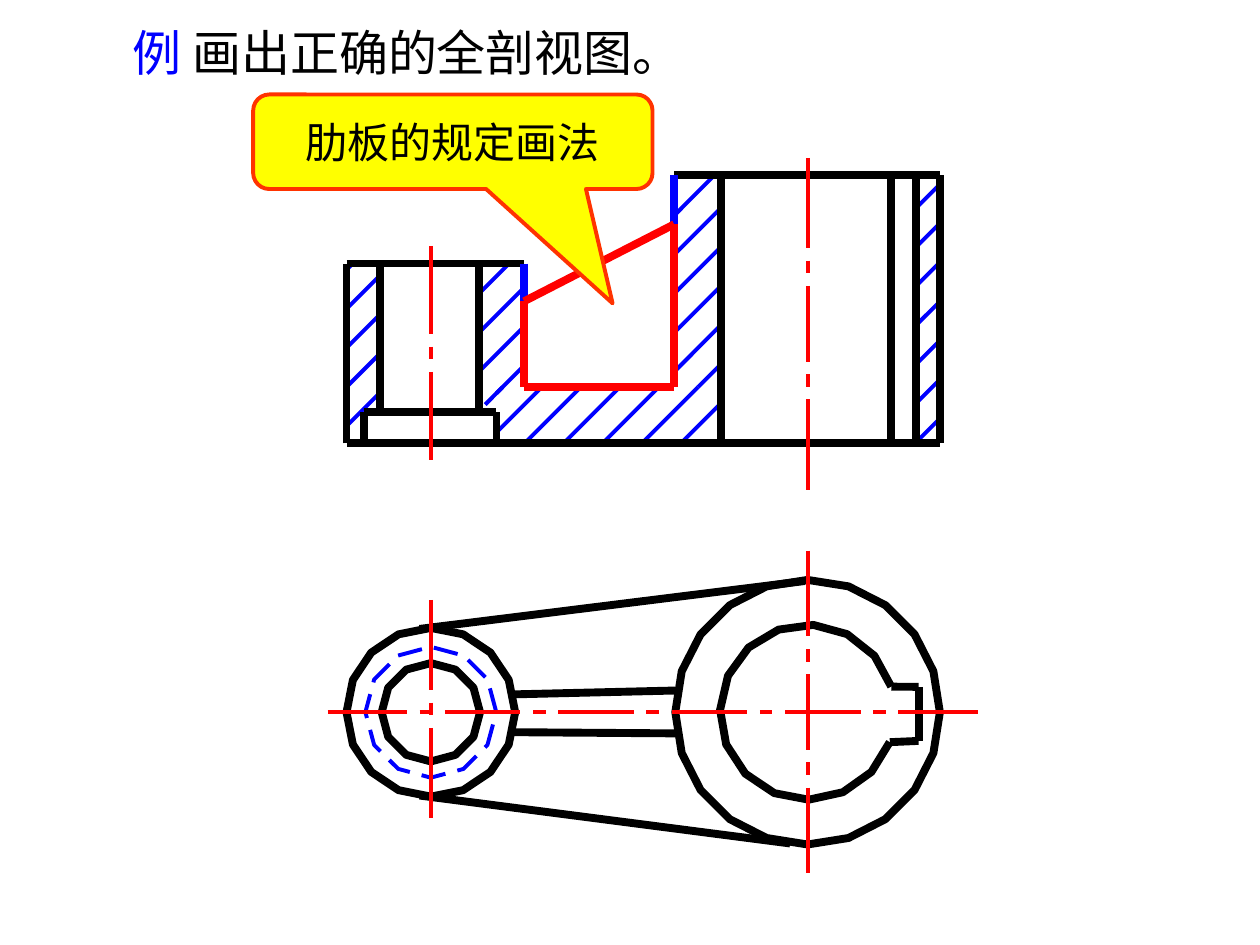
import math

import pptx
import pptx.dml.color
import pptx.enum.shapes
import pptx.enum.text
import pptx.oxml.ns
import pptx.util
from lxml import etree

Pt = pptx.util.Pt
COLORS = {"outline": "000000", "hatch": "0000FF", "rib": "FF0000", "centre": "FF0000",
          "example": "0000FF", "text": "000000",
          "callout": "FFFF00", "callout_line": "FF3300"}
THICK, THIN = 4.5, 2.25
CJK_FONT = "Noto Sans CJK SC"


def rgb(key):
    return pptx.dml.color.RGBColor.from_string(COLORS[key])


def draw_line(slide, box, start, end, color="outline", width=THICK):
    left, top = box[:2]
    edge = slide.shapes.add_connector(
        pptx.enum.shapes.MSO_CONNECTOR.STRAIGHT,
        Pt(left + start[0]), Pt(top + start[1]), Pt(left + end[0]), Pt(top + end[1]))
    edge.line.color.rgb = rgb(color)
    edge.line.width = Pt(width)
    etree.SubElement(edge._element.spPr, pptx.oxml.ns.qn("a:effectLst"))


def draw_path(slide, box, points, color="outline", width=THICK, close=False):
    left, top = box[:2]
    spots = [(Pt(left + x), Pt(top + y)) for x, y in points]
    builder = slide.shapes.build_freeform(*spots[0])
    builder.add_line_segments(spots[1:], close=close)
    outline = builder.convert_to_shape()
    outline.fill.background()
    outline.line.color.rgb = rgb(color)
    outline.line.width = Pt(width)
    outline.shadow.inherit = False


def arc_points(centre, radius, count, first=0, last=360):
    """Points at equal angles, anticlockwise, both ends included."""
    angles = [math.radians(first + (last - first) * i / (count - 1)) for i in range(count)]
    return [(centre[0] + radius * math.cos(a), centre[1] - radius * math.sin(a))
            for a in angles]


def draw_polygon(slide, box, centre, radius, sides):
    draw_path(slide, box, arc_points(centre, radius, sides + 1)[:-1], close=True)


def draw_centre_line(slide, box, start, end_dash, middle_dashes, vertical=True):
    """Chain line: an end dash, short dashes between middle dashes, an end dash."""
    short, middle = 7.2, 43.2
    dashes = [end_dash, *[short, middle] * middle_dashes, short, end_dash]
    x, y = start
    for dash in dashes:
        end = (x, y + dash) if vertical else (x + dash, y)
        draw_line(slide, box, (x, y), end, "centre", THIN)
        x, y = (x, end[1] + short) if vertical else (end[0] + short, y)


def draw_hidden_circle(slide, box, centre, radius, sides=12, dash=14.1, gap=7):
    corners = arc_points(centre, radius, sides + 1)
    side = math.dist(corners[0], corners[1])

    def point_at(distance):
        index = int(distance // side)
        part = distance / side - index
        (x1, y1), (x2, y2) = corners[index], corners[index + 1]
        return x1 + (x2 - x1) * part, y1 + (y2 - y1) * part

    for number in range(int(sides * side // (dash + gap))):
        begin = number * (dash + gap)
        end = begin + dash
        passed = [corner for i, corner in enumerate(corners) if begin < i * side < end]
        draw_path(slide, box, [point_at(begin), *passed, point_at(end)], "hatch", THIN)


def draw_hatch(slide, box, area):
    """45-degree lines from one shared family, cut to an area (x1, y1, x2, y2)."""
    x1, y1, x2, y2 = area
    first, step, shortest = 54, 22.32, 2
    for number in range(20):
        total = first + step * number
        from_x, to_x = max(x1, total - y2), min(x2, total - y1)
        if to_x - from_x > shortest:
            draw_line(slide, box, (from_x, total - from_x), (to_x, total - to_x),
                      "hatch", THIN)


def draw_section_view(slide, box):
    width, bottom = box[2:]
    boss_top, boss_right, hub_left = 50.4, 101.5, 187.2
    bore_left, bore_right, hub_bore, keyway, hub_wall = 19.4, 75.6, 213.8, 311, 325.4
    sink_left, sink_right, sink_top = 10.1, 85.7, 135.4
    base_top, rib_low, rib_high = 121, 72, 28

    for area in [(0, boss_top, bore_left, 146),
                 (bore_right, boss_top, boss_right, 131),
                 (sink_right, base_top, hub_bore, bottom),
                 (hub_left, 0, hub_bore, base_top),
                 (hub_wall, 0, width, bottom)]:
        draw_hatch(slide, box, area)

    for start, end in [
            ((0, boss_top), (boss_right, boss_top)), ((0, bottom), (width, bottom)),
            ((0, bottom), (0, boss_top)), ((hub_left, 0), (width, 0)),
            ((bore_left, sink_top), (bore_left, boss_top)),
            ((bore_right, sink_top), (bore_right, boss_top)),
            ((sink_left, sink_top), (sink_right, sink_top)),
            ((sink_left, bottom), (sink_left, sink_top)),
            ((sink_right, bottom), (sink_right, sink_top)),
            *[((x, bottom), (x, 0)) for x in (hub_bore, keyway, hub_wall, width)]]:
        draw_line(slide, box, start, end)

    draw_line(slide, box, (boss_right, boss_top), (boss_right, rib_low), "hatch")
    draw_line(slide, box, (hub_left, 0), (hub_left, rib_high), "hatch")
    rib = [(boss_right, rib_low), (hub_left, rib_high), (hub_left, base_top),
           (boss_right, base_top)]
    for start, end in zip(rib, rib[1:] + rib[:1]):
        draw_line(slide, box, start, end, "rib")

    draw_centre_line(slide, box, (48.2, 40.3), 50.4, 0)
    draw_centre_line(slide, box, (263.5, -10), 51.6, 1)


def draw_plan_view(slide, box):
    middle = 75
    boss, hub = (48.2, middle), (263.5, middle)
    draw_line(slide, box, (41.8, 122.6), (253.5, 150))
    draw_line(slide, box, (41.8, 27.4), (262, 0))
    draw_polygon(slide, box, boss, 48.2, 16)
    draw_hidden_circle(slide, box, boss, 37.4)
    draw_polygon(slide, box, boss, 28.1, 12)
    draw_polygon(slide, box, hub, 75.6, 20)

    bore = arc_points(hub, 50, 15, 17, 340)
    key_top, key_bottom = (326.9, 60.5), (326.9, 91.4)
    draw_path(slide, box, bore)
    for start, end in [(bore[0], key_top), (key_top, key_bottom), (key_bottom, bore[-1]),
                       ((95, 86.4), (187.9, 87.1)), ((95, 64.8), (187.9, 62.6))]:
        draw_line(slide, box, start, end)

    draw_centre_line(slide, box, (-10.8, middle), 45.4, 4, vertical=False)
    draw_centre_line(slide, box, (boss[0], 10.8), 51.5, 0)
    draw_centre_line(slide, box, (hub[0], -17.3), 49, 1)


def place_title(slide, box):
    title = slide.shapes.title
    title.left, title.top, title.width, title.height = map(Pt, box)
    frame = title.text_frame
    frame.word_wrap = False
    frame.auto_size = pptx.enum.text.MSO_AUTO_SIZE.NONE
    paragraph = frame.paragraphs[0]
    paragraph.alignment = pptx.enum.text.PP_ALIGN.CENTER
    for words, color in [("例 ", "example"), ("画出正确的全剖视图。", "text")]:
        run = paragraph.add_run()
        run.text = words
        run.font.size = Pt(28)
        run.font.color.rgb = rgb(color)
        run.font.name = CJK_FONT
        east_asian = etree.SubElement(run.font._element, pptx.oxml.ns.qn("a:ea"))
        east_asian.set("typeface", CJK_FONT)


def place_callout(slide, box):
    callout = slide.shapes.add_shape(
        pptx.enum.shapes.MSO_SHAPE.ROUNDED_RECTANGULAR_CALLOUT, *map(Pt, box))
    for index, value in enumerate((0.4, 1.71, 0.17)):
        callout.adjustments[index] = value
    callout.shadow.inherit = False
    callout.fill.solid()
    callout.fill.fore_color.rgb = rgb("callout")
    callout.line.color.rgb = rgb("callout_line")
    callout.line.width = Pt(THIN)
    frame = callout.text_frame
    frame.word_wrap = False
    frame.vertical_anchor = pptx.enum.text.MSO_ANCHOR.MIDDLE
    frame.text = "肋板的规定画法"
    frame.paragraphs[0].alignment = pptx.enum.text.PP_ALIGN.CENTER
    font = frame.paragraphs[0].runs[0].font
    font.size = Pt(24)
    font.name = "Times New Roman"
    font.color.rgb = rgb("text")


def main():
    deck = pptx.Presentation()
    deck.slide_width, deck.slide_height = Pt(720), Pt(540)
    slide = deck.slides.add_slide(deck.slide_layouts[5])
    place_title(slide, (63.4, 9.4, 338.4, 41))
    draw_plan_view(slide, (198, 332, 339, 150))
    draw_section_view(slide, (198, 100.2, 339.2, 153.2))
    place_callout(slide, (144.7, 54, 228.2, 54))
    deck.save("out.pptx")


if __name__ == "__main__":
    main()
